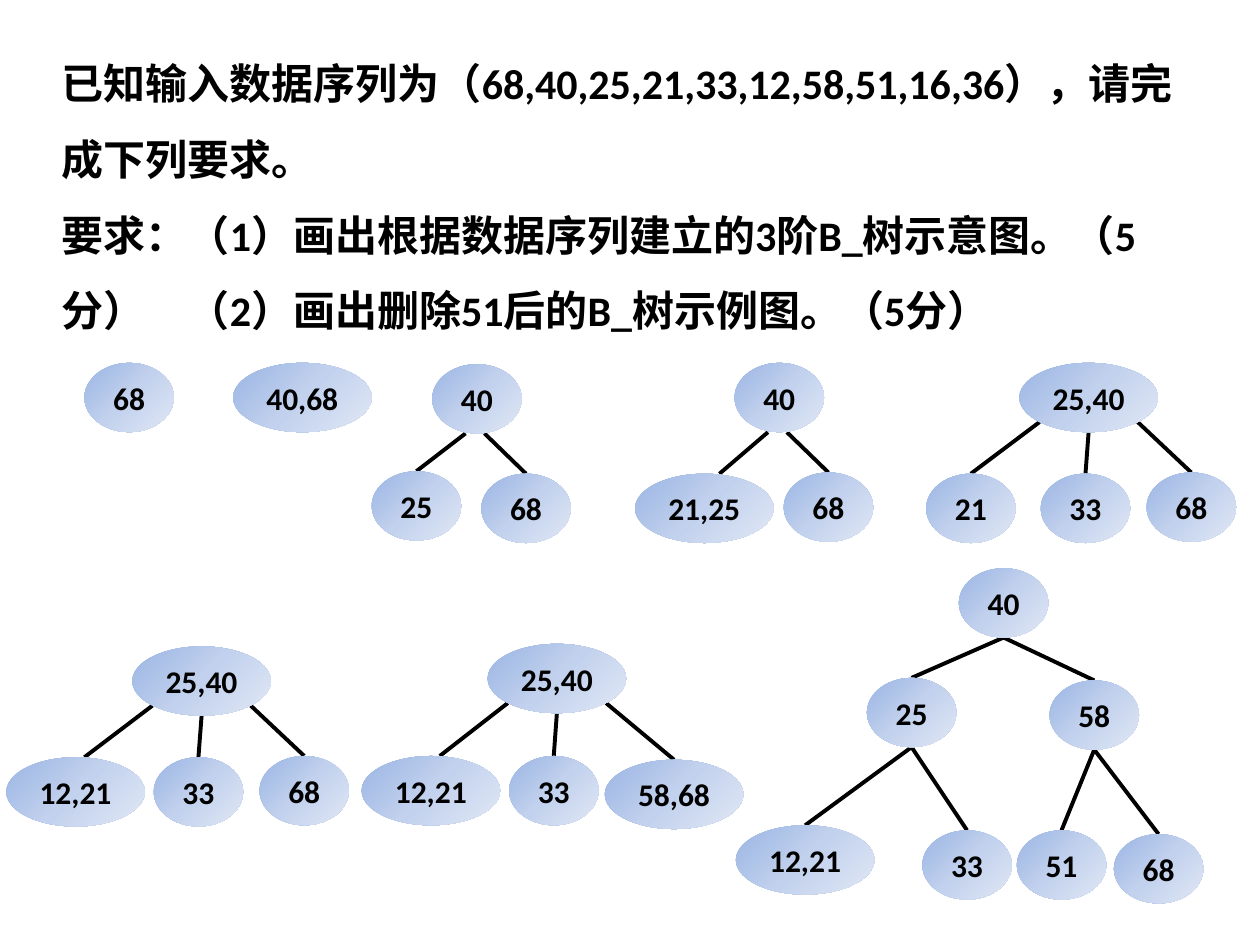
from dataclasses import dataclass

from lxml import etree
from pptx import Presentation
from pptx.dml.color import RGBColor
from pptx.enum.shapes import MSO_CONNECTOR, MSO_SHAPE
from pptx.enum.text import MSO_ANCHOR, MSO_AUTO_SIZE, PP_ALIGN
from pptx.oxml.ns import qn
from pptx.util import Inches, Pt

STRAIGHT = MSO_CONNECTOR.STRAIGHT
OVAL = MSO_SHAPE.OVAL
MIDDLE, TOP = MSO_ANCHOR.MIDDLE, MSO_ANCHOR.TOP
CENTER, LEFT = PP_ALIGN.CENTER, PP_ALIGN.LEFT
NO_AUTOFIT = MSO_AUTO_SIZE.NONE

COLUMNS, ROWS = 100, 75
CELL = Inches(0.1)
FONT = "Calibri"
BLACK = "000000"
GRADIENT = ((0, "9AB5E4"), (50, "C2D1ED"), (100, "E1E8F5"))
NODE_HEIGHT = 5.5
ONE_KEY_WIDTH, TWO_KEY_WIDTH = 7.1, 11
OUTER_EDGE_REACH, OUTER_EDGE_DROP = 3.9, 4.7

QUESTION = (
    "已知输入数据序列为（68,40,25,21,33,12,58,51,16,36），请完成下列要求。",
    "要求：（1）画出根据数据序列建立的3阶B_树示意图。（5分）\t（2）画出删除51后的B_树示例图。（5分）",
)


@dataclass
class Node:
    """A tree node; center and top are grid positions, edge_shift moves its incoming edge."""
    keys: str
    center: float
    top: float
    children: tuple = ()
    edge_shift: float = 0
    edge_starts: tuple = (-0.9, 0.6)


TREES = (
    Node("68", 10.25, 28.8),
    Node("40,68", 24, 28.8),
    Node("40", 37.85, 28.9, (Node("25", 33.05, 37.4), Node("68", 41.75, 37.6))),
    Node("40", 61.85, 28.8, (Node("21,25", 55.9, 37.6, edge_shift=1.2),
                             Node("68", 65.75, 37.5))),
    Node("25,40", 86.4, 28.8, (Node("21", 77.05, 37.6), Node("33", 86.15, 37.6),
                               Node("68", 94.55, 37.5))),
    Node("25,40", 16, 51.3, (Node("12,21", 6, 60.1, edge_shift=0.7),
                             Node("33", 15.75, 60.1), Node("68", 24.15, 60))),
    Node("25,40", 44.2, 51.1, (Node("12,21", 34.2, 60, edge_shift=0.7),
                               Node("33", 43.95, 60), Node("58,68", 53.5, 60.3))),
    Node("40", 79.65, 45.1, (
        Node("25", 72.35, 53.8, (Node("12,21", 63.9, 65.5), Node("33", 76.75, 65.9)),
             edge_starts=(0, 0)),
        Node("58", 86.85, 54, (Node("51", 84.25, 65.9), Node("68", 91.95, 66.2)),
             edge_starts=(0, 0)),
    ), edge_starts=(0, 0)),
)


def cells(count: float) -> int:
    return round(count * CELL)


def color(value: str) -> RGBColor:
    return RGBColor.from_string(value)


def format_paragraph(paragraph, size: int, alignment) -> None:
    paragraph.alignment = alignment
    for run in paragraph.runs:
        run.font.name = FONT
        run.font.size = Pt(size)
        run.font.bold = True
        run.font.color.rgb = color(BLACK)


def fill_gradient(shape) -> None:
    shape.fill.gradient()
    shape.fill.gradient_angle = 315
    stops = shape.fill._fill._gradFill.find(qn("a:gsLst"))
    for stop in list(stops):
        stops.remove(stop)
    for percent, value in GRADIENT:
        stop = etree.SubElement(stops, qn("a:gs"), pos=str(percent * 1000))
        etree.SubElement(stop, qn("a:srgbClr"), val=value)


def draw_edge(slide, start: tuple, end: tuple) -> None:
    line = slide.shapes.add_connector(STRAIGHT, *map(cells, start + end))
    line.line.color.rgb = color(BLACK)
    line.line.width = Pt(2.25)
    etree.SubElement(line._element.spPr, qn("a:effectLst"))


def edge_start(node: Node, index: int) -> tuple:
    """Two children leave from the bottom; of three, the outer two leave from the sides."""
    if len(node.children) == 2:
        return node.center + node.edge_starts[index], node.top + NODE_HEIGHT
    side = index - 1
    drop = OUTER_EDGE_DROP if side else NODE_HEIGHT
    return node.center + side * OUTER_EDGE_REACH, node.top + drop


def draw_tree(slide, node: Node) -> None:
    for index, child in enumerate(node.children):
        draw_edge(slide, edge_start(node, index),
                  (child.center + child.edge_shift, child.top))
        draw_tree(slide, child)
    width = TWO_KEY_WIDTH if "," in node.keys else ONE_KEY_WIDTH
    oval = slide.shapes.add_shape(OVAL, cells(node.center - width / 2), cells(node.top),
                                  cells(width), cells(NODE_HEIGHT))
    oval.shadow.inherit = False
    oval.line.fill.background()
    fill_gradient(oval)
    frame = oval.text_frame
    frame.text = node.keys
    frame.word_wrap = False
    frame.vertical_anchor = MIDDLE
    format_paragraph(frame.paragraphs[0], 18, CENTER)


def write_question(body) -> None:
    body.left, body.top, body.width, body.height = map(cells, (3.9, 2.1, 92.1, 36.7))
    frame = body.text_frame
    frame.text = "\n".join(QUESTION)
    frame.word_wrap = True
    frame.auto_size = NO_AUTOFIT
    frame.vertical_anchor = TOP
    for paragraph in frame.paragraphs:
        format_paragraph(paragraph, 24, LEFT)
        paragraph.line_spacing = 1.5
        paragraph.space_before = Pt(0)
        properties = paragraph._p.get_or_add_pPr()
        properties.set("marL", "0")
        properties.set("indent", "0")
        etree.SubElement(properties, qn("a:buNone"))


def main() -> None:
    presentation = Presentation()
    presentation.slide_width = cells(COLUMNS)
    presentation.slide_height = cells(ROWS)
    slide = presentation.slides.add_slide(presentation.slide_layouts[1])
    title, body = slide.placeholders
    title._element.getparent().remove(title._element)
    write_question(body)
    for tree in TREES:
        draw_tree(slide, tree)
    presentation.save("out.pptx")


if __name__ == "__main__":
    main()
